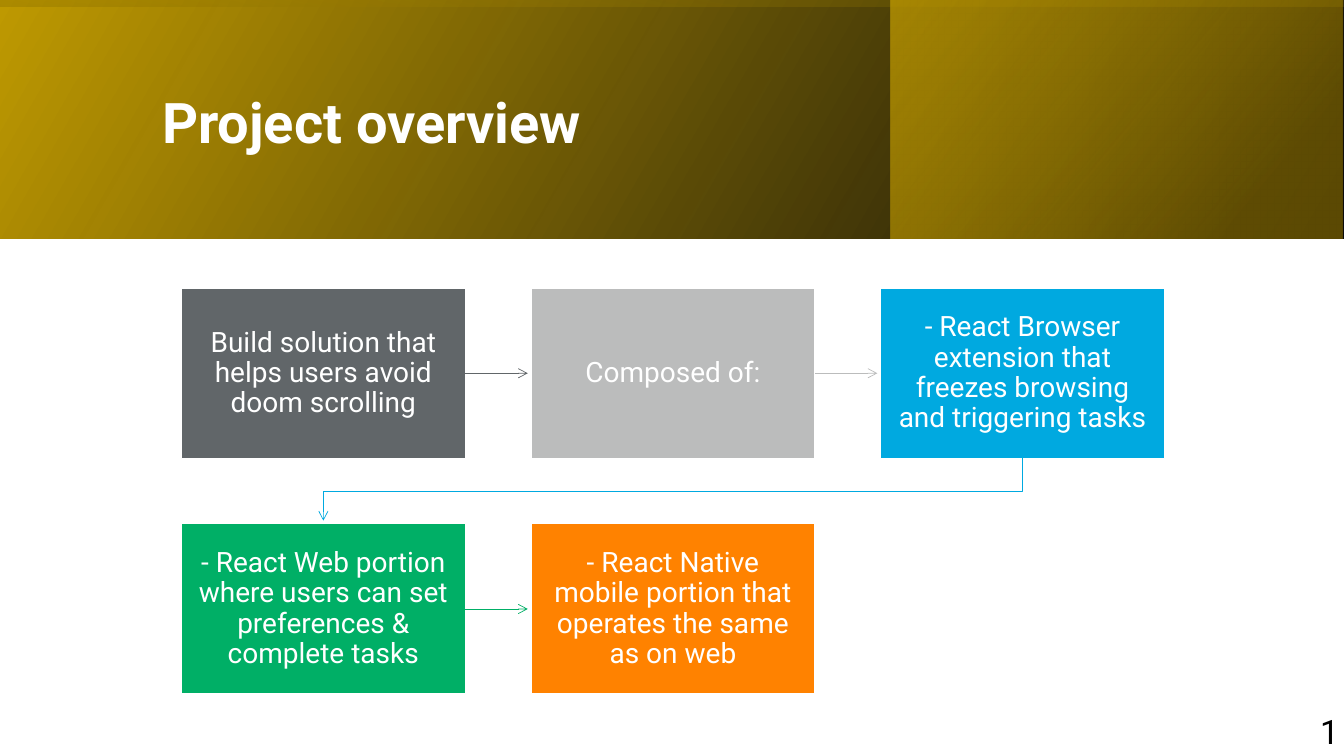
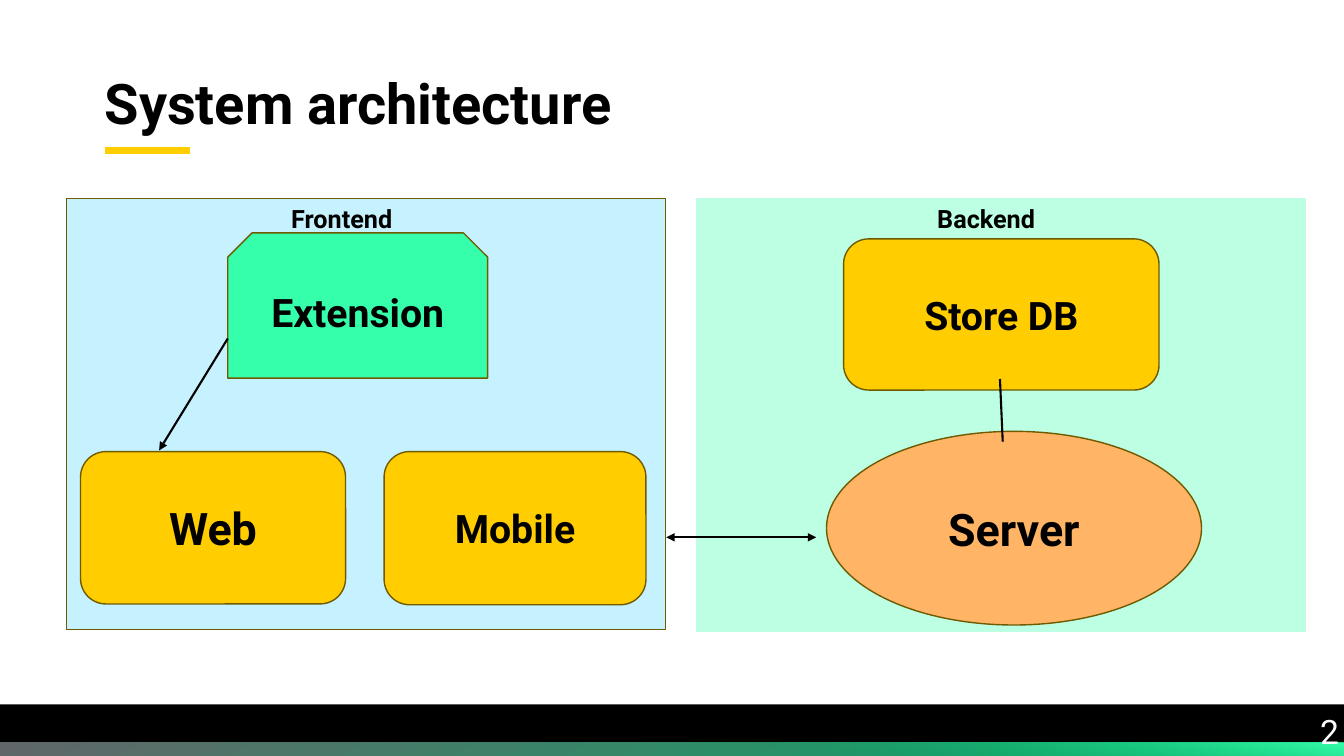
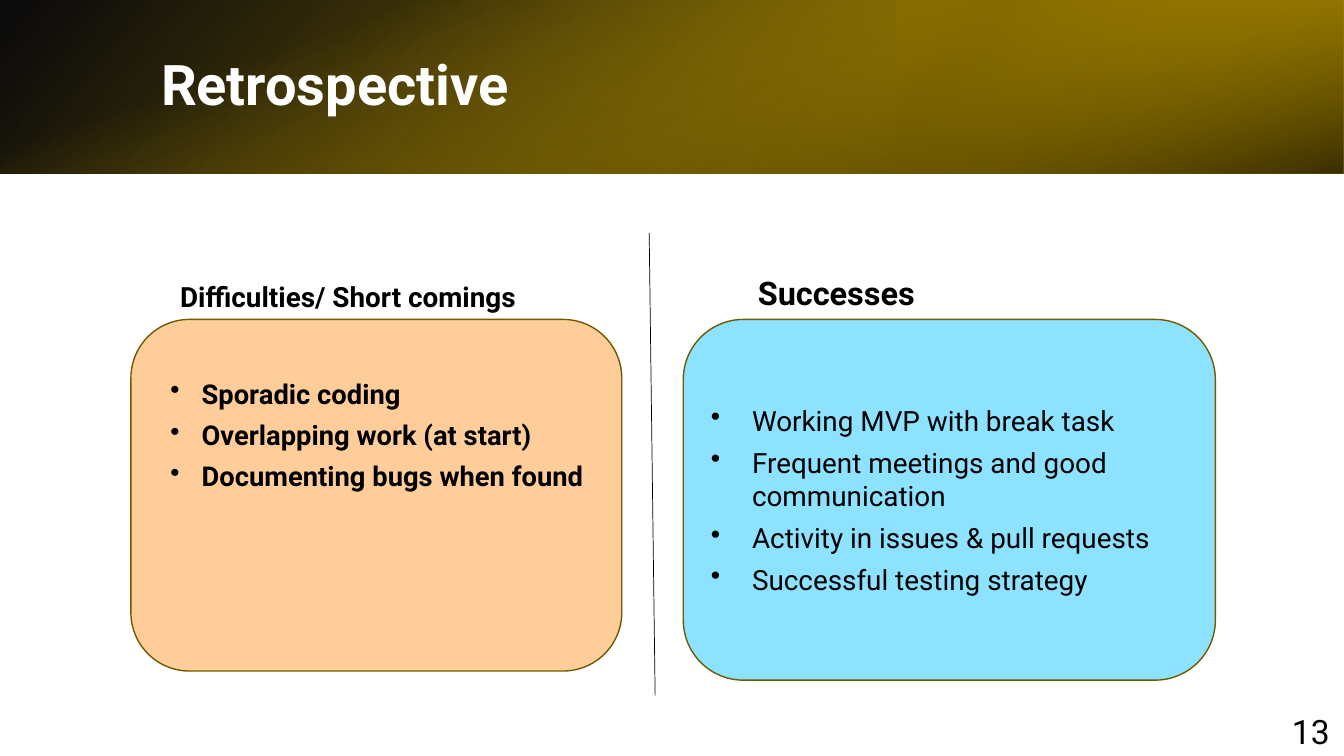
"""Build three project slides: overview, system architecture and retrospective."""
from dataclasses import dataclass
from typing import NamedTuple, Optional

from lxml.etree import SubElement
from pptx import Presentation
from pptx.dml.color import RGBColor
from pptx.enum.shapes import MSO_CONNECTOR, MSO_SHAPE
from pptx.enum.text import MSO_ANCHOR, PP_ALIGN
from pptx.oxml.ns import qn
from pptx.shapes.base import BaseShape
from pptx.slide import Slide
from pptx.util import Cm, Pt

FONT = "Roboto"
COLORS = {
    "black": "000000", "white": "FFFFFF", "gold": "FFCD00", "dark_gold": "BF9A00",
    "bronze": "806600", "outline": "705A00", "slate": "616669", "silver": "BBBCBC",
    "blue": "00A9E0", "green": "00AF66", "orange": "FF8200", "mint": "36FFAB",
    "pale_mint": "BCFFE3", "pale_blue": "C6F1FF", "sky": "8DE3FF",
    "peach": "FFB466", "pale_peach": "FFCD99",
}
PAGE_W, PAGE_H = 33.87, 19.05


class Box(NamedTuple):
    left: float
    top: float
    width: float
    height: float


class Stop(NamedTuple):
    position: int
    color: str
    opacity: int = 100


@dataclass
class Layer:
    """A gradient rectangle, given by the box it covers once turned."""
    box: Box
    stops: tuple[Stop, Stop]
    angle: int
    turn: int = 0
    flipped: bool = False


@dataclass
class Node:
    """A labelled block of the architecture diagram."""
    label: str
    preset: MSO_SHAPE
    box: Box
    fill: str
    size: int


@dataclass
class Link:
    """A straight line between two points, with optional arrowheads."""
    start: tuple[float, float]
    end: tuple[float, float]
    color: str = "black"
    width: float = 1.5
    head: Optional[str] = None
    tail: Optional[str] = None


@dataclass
class Review:
    """A retrospective column: heading and card of bullets."""
    heading: str
    heading_box: Box
    heading_size: float
    card: Box
    fill: str
    points: list[str]
    style: dict


def rgb(name: str) -> RGBColor:
    """Return the named colour."""
    return RGBColor.from_string(COLORS[name])


def lengths(box: Box) -> list[Cm]:
    """Convert a box in centimetres to lengths."""
    return [Cm(value) for value in box]


def write(shape: BaseShape, *lines: str, size: float = 20, color: str = "black",
          bold: bool = False, align: PP_ALIGN = PP_ALIGN.LEFT,
          anchor: MSO_ANCHOR = MSO_ANCHOR.TOP, spacing: Optional[float] = None,
          after: float = 0, hang: float = 0,
          insets: tuple[float, float, float, float] = (0.25, 0.13, 0.25, 0.13)) -> None:
    """Fill a shape with paragraphs; a hang gives them bullets."""
    frame = shape.text_frame
    frame.word_wrap = True
    frame.vertical_anchor = anchor
    (frame.margin_left, frame.margin_top,
     frame.margin_right, frame.margin_bottom) = map(Cm, insets)
    for index, line in enumerate(lines):
        paragraph = frame.add_paragraph() if index else frame.paragraphs[0]
        paragraph.alignment = align
        paragraph.space_after = Pt(after)
        if spacing:
            paragraph.line_spacing = spacing
        if hang:
            properties = paragraph._p.get_or_add_pPr()
            properties.set("marL", str(Cm(hang)))
            properties.set("indent", str(-Cm(hang)))
            SubElement(properties, qn("a:buChar")).set("char", "•")
        run = paragraph.add_run()
        run.text = line
        run.font.name, run.font.size, run.font.bold = FONT, Pt(size), bold
        run.font.color.rgb = rgb(color)


def add_text(slide: Slide, box: Box, text: str, **style) -> None:
    """Add a text box."""
    write(slide.shapes.add_textbox(*lengths(box)), text, **style)


def add_block(slide: Slide, box: Box, fill: str, outline: Optional[str] = None,
              preset: MSO_SHAPE = MSO_SHAPE.RECTANGLE) -> BaseShape:
    """Add a flat filled shape."""
    block = slide.shapes.add_shape(preset, *lengths(box))
    block.shadow.inherit = False
    block.fill.solid()
    block.fill.fore_color.rgb = rgb(fill)
    if outline:
        block.line.color.rgb = rgb(outline)
        block.line.width = Pt(1)
    else:
        block.line.fill.background()
    return block


def add_layer(slide: Slide, layer: Layer) -> None:
    """Add a turned or flipped gradient rectangle."""
    left, top, width, height = layer.box
    box = layer.box
    if layer.turn in (90, 270):
        shift = (width - height) / 2
        box = Box(left + shift, top - shift, height, width)
    band = add_block(slide, box, "black")
    band.rotation = layer.turn
    properties = band.element.spPr
    if layer.flipped:
        properties.find(qn("a:xfrm")).set("flipH", "1")
    band.fill.gradient()
    band.fill.gradient_angle = 360 - layer.angle
    for target, stop in zip(band.fill.gradient_stops, layer.stops):
        target.position = stop.position / 100
        target.color.rgb = rgb(stop.color)
    for color, stop in zip(properties.iter(qn("a:srgbClr")), layer.stops):
        SubElement(color, qn("a:alpha")).set("val", str(stop.opacity * 1000))


def style_line(line: BaseShape, color: str, width: float,
               head: Optional[str] = None, tail: Optional[str] = None) -> None:
    """Set colour, width and arrowheads of a line."""
    line.line.color.rgb = rgb(color)
    line.line.width = Pt(width)
    stroke = line.element.spPr.find(qn("a:ln"))
    for end, kind in (("a:headEnd", head), ("a:tailEnd", tail)):
        if kind:
            SubElement(stroke, qn(end)).set("type", kind)


def add_link(slide: Slide, link: Link) -> None:
    """Add a straight connector."""
    connector = slide.shapes.add_connector(
        MSO_CONNECTOR.STRAIGHT, *map(Cm, link.start + link.end))
    style_line(connector, link.color, link.width, link.head, link.tail)
    SubElement(connector.element.spPr, qn("a:effectLst"))


def add_title(slide: Slide, text: str, box: Box, color: str = "white", **style) -> None:
    """Add the slide title."""
    add_text(slide, box, text, size=40, bold=True, color=color, spacing=0.9,
             anchor=MSO_ANCHOR.MIDDLE, **style)


def add_number(slide: Slide, number: str, color: str = "black") -> None:
    """Add the page number in the bottom corner."""
    width = 0.82 if len(number) == 1 else 1.53
    add_text(slide, Box(33.84 - width, 17.78, width, 1.27), number, size=24, color=color)


def add_header(slide: Slide, layers: list[Layer]) -> None:
    """Stack the gradient layers of a header or footer."""
    for layer in layers:
        add_layer(slide, layer)


def build_overview(slide: Slide) -> None:
    """Build the project overview slide."""
    height = 6.02
    whole = Box(0, 0, PAGE_W, height)
    add_header(slide, [
        Layer(whole, (Stop(0, "black", 96), Stop(100, "dark_gold")), 330, flipped=True),
        Layer(Box(22.45, 0, 11.38, height),
              (Stop(19, "bronze", 68), Stop(100, "gold", 48)), 320, flipped=True),
        Layer(whole, (Stop(23, "dark_gold", 16), Stop(99, "black", 45)), 350, 270, True),
    ])
    add_title(slide, "Project overview", Box(3.84, 0.97, 27, 4.37))

    steps = [
        ("Build solution that helps users avoid doom scrolling", "slate"),
        ("Composed of:", "silver"),
        ("- React Browser extension that freezes browsing and triggering tasks", "blue"),
        ("- React Web portion where users can set preferences & complete tasks", "green"),
        ("- React Native mobile portion that operates the same as on web", "orange"),
    ]
    columns, step_w, step_h, reach = 3, 7.16, 4.29, 1.57
    boxes = [Box(4.57 + 8.81 * (i % columns), 7.26 + 5.94 * (i // columns), step_w, step_h)
             for i in range(len(steps))]
    for index, ((text, fill), box) in enumerate(zip(steps, boxes)):
        step = add_block(slide, box, fill, "white")
        write(step, text, color="white", align=PP_ALIGN.CENTER, spacing=0.9,
              anchor=MSO_ANCHOR.MIDDLE, insets=(0.36, 0.38, 0.36, 0.38))
        if index % columns < columns - 1 and index < len(steps) - 1:
            right, middle = box.left + step_w, box.top + step_h / 2
            add_link(slide, Link((right, middle), (right + reach, middle), fill, 0.5,
                                 tail="arrow"))

    last, following = boxes[columns - 1], boxes[columns]
    start_x, end_x = last.left + step_w / 2, following.left + step_w / 2
    bottom = last.top + step_h
    turn_y = (bottom + following.top) / 2
    outline = slide.shapes.build_freeform(Cm(start_x), Cm(bottom))
    outline.add_line_segments(
        [(Cm(x), Cm(y)) for x, y in ((start_x, turn_y), (end_x, turn_y),
                                     (end_x, bottom + reach))], close=False)
    return_arrow = outline.convert_to_shape()
    return_arrow.shadow.inherit = False
    return_arrow.fill.background()
    style_line(return_arrow, "blue", 0.5, tail="arrow")
    add_number(slide, "1")


def build_architecture(slide: Slide) -> None:
    """Build the system architecture slide."""
    add_link(slide, Link((2.64, 3.78), (4.78, 3.78), "gold", 5))
    add_block(slide, Box(0, 17.75, PAGE_W, 1.3), "black")
    add_header(slide, [
        Layer(Box(0, 18.72, PAGE_W, 0.33),
              (Stop(0, "green"), Stop(100, "slate")), 30, 90, True),
        Layer(Box(17.44, 18.72, 16.43, 0.33),
              (Stop(19, "green", 0), Stop(100, "mint")), 10, 270),
    ])
    add_title(slide, "System architecture", Box(2.64, 1.47, 28.58, 2.41), "black",
              insets=(0, 0, 0, 0))

    tiers = [
        ("Frontend", Box(1.68, 5, 15.09, 10.87), "pale_blue", "outline", 7.09),
        ("Backend", Box(17.55, 5, 15.34, 10.9), "pale_mint", "pale_mint", 23.37),
    ]
    for caption, box, fill, outline, caption_left in tiers:
        add_block(slide, box, fill, outline)
        add_text(slide, Box(caption_left, box.top, 4.75, 1.02), caption, size=18, bold=True)

    rounded = MSO_SHAPE.ROUNDED_RECTANGLE
    nodes = [
        Node("Web", rounded, Box(2.03, 11.38, 6.68, 3.84), "gold", 32),
        Node("Mobile", rounded, Box(9.68, 11.38, 6.6, 3.86), "gold", 28),
        Node("Extension", MSO_SHAPE.SNIP_2_SAME_RECTANGLE,
             Box(5.74, 5.87, 6.55, 3.66), "mint", 28),
        Node("Server", MSO_SHAPE.OVAL, Box(20.83, 10.87, 9.45, 4.88), "peach", 32),
        Node("Store DB", rounded, Box(21.26, 6.02, 7.95, 3.81), "gold", 28),
    ]
    for node in nodes:
        block = add_block(slide, node.box, node.fill, "outline", node.preset)
        write(block, node.label, size=node.size, bold=True, align=PP_ALIGN.CENTER,
              anchor=MSO_ANCHOR.MIDDLE)

    for link in (
        Link((5.74, 8.53), (4.01, 11.35), tail="triangle"),
        Link((25.2, 9.55), (25.27, 11.13)),
        Link((16.79, 13.54), (20.57, 13.54), head="triangle", tail="triangle"),
    ):
        add_link(slide, link)
    add_number(slide, "2", "white")


def build_retrospective(slide: Slide) -> None:
    """Build the retrospective slide."""
    height = 4.37
    whole = Box(0, 0, PAGE_W, height)
    add_header(slide, [
        Layer(whole, (Stop(0, "black", 96), Stop(100, "dark_gold")), 140, flipped=True),
        Layer(Box(22.58, 0, 11.29, height),
              (Stop(19, "bronze", 68), Stop(100, "gold", 79)), 320, 180, True),
        Layer(whole, (Stop(23, "gold", 0), Stop(99, "black", 74)), 340, 90),
    ])
    add_title(slide, "Retrospective", Box(3.81, 0.97, 27.89, 2.44))

    reviews = [
        Review("Difficulties/ Short comings", Box(4.29, 6.91, 9.5, 1.12), 19.9,
               Box(3.3, 8.05, 12.37, 8.86), "pale_peach",
               ["Sporadic coding", "Overlapping work (at start)",
                "Documenting bugs when found"],
               dict(size=19.5, bold=True, hang=0.79, insets=(0.56, 1.02, 0.1, 0.13))),
        Review("Successes", Box(18.85, 6.76, 9.35, 1.24), 23.2,
               Box(17.22, 8.05, 13.41, 9.09), "sky",
               ["Working MVP with break task",
                "Frequent meetings and good communication",
                "Activity in issues & pull requests", "Successful testing strategy"],
               dict(size=19.9, hang=1.04, anchor=MSO_ANCHOR.MIDDLE)),
    ]
    for review in reviews:
        card = add_block(slide, review.card, review.fill, "outline",
                         MSO_SHAPE.ROUNDED_RECTANGLE)
        write(card, *review.points, after=6, **review.style)
        add_text(slide, review.heading_box, review.heading, size=review.heading_size,
                 bold=True)
    add_link(slide, Link((16.36, 5.87), (16.51, 17.53), width=0.5))
    add_number(slide, "13")


def main() -> None:
    """Build and save the presentation."""
    deck = Presentation()
    deck.slide_width, deck.slide_height = Cm(PAGE_W), Cm(PAGE_H)
    blank = deck.slide_layouts[6]
    for build in (build_overview, build_architecture, build_retrospective):
        build(deck.slides.add_slide(blank))
    deck.save("out.pptx")


if __name__ == "__main__":
    main()
